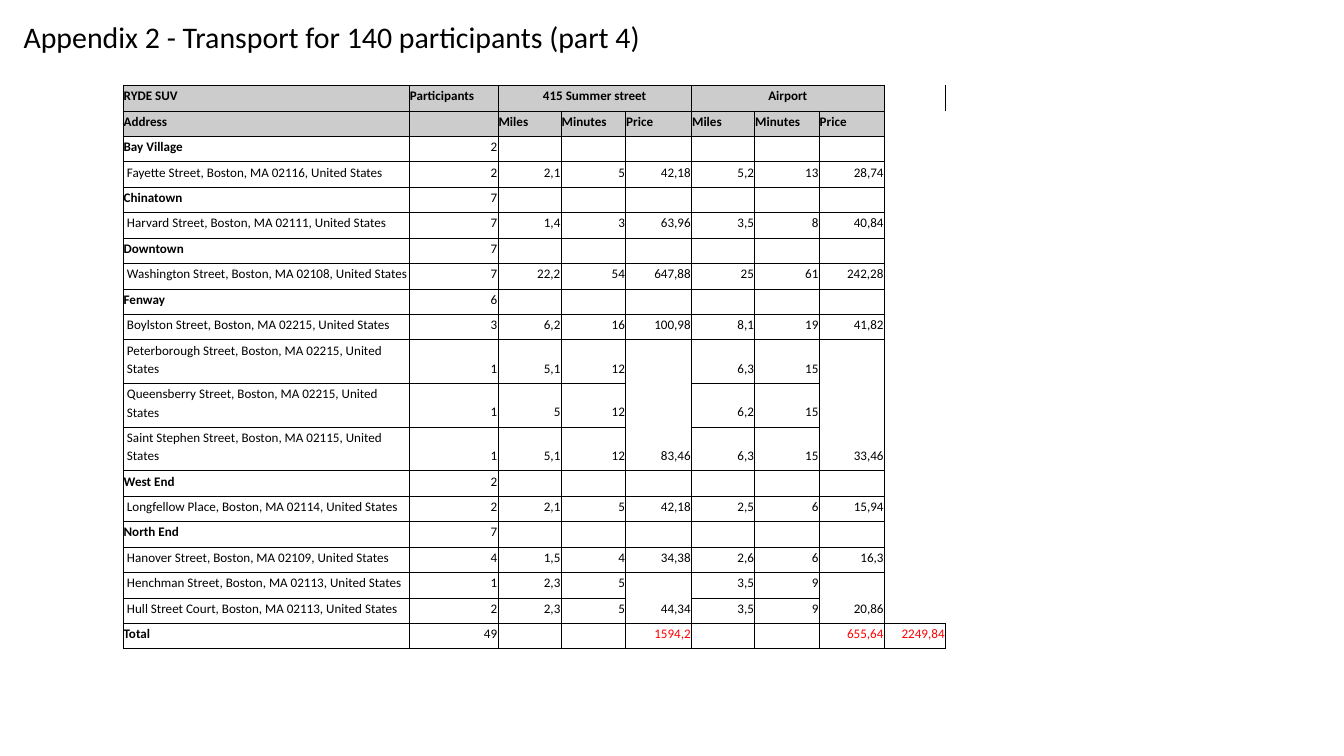
import pptx
import pptx.dml.color
import pptx.enum.text
import pptx.oxml
import pptx.oxml.ns
import pptx.util

Inches = pptx.util.Inches
Pt = pptx.util.Pt
RGBColor = pptx.dml.color.RGBColor
ALIGN = pptx.enum.text.PP_ALIGN
ANCHOR = pptx.enum.text.MSO_ANCHOR
FIT = pptx.enum.text.MSO_AUTO_SIZE
qn = pptx.oxml.ns.qn

BLACK = RGBColor(0x00, 0x00, 0x00)
GREY = RGBColor(0xCC, 0xCC, 0xCC)
RED = RGBColor(0xFF, 0x00, 0x00)

PLAIN_STYLE = "{2D5ABB26-0587-4C30-8999-92F81FD0307C}"  # no style, no grid
WIDTHS = [4.26, 1.32, 0.94, 0.96, 0.98, 0.94, 0.96, 0.97, 0.91]
ROW, TALL = 0.37, 0.65

HEADS = [
    ["RYDE SUV", "Participants", "415 Summer street", "", "", "Airport"],
    ["Address", ""] + ["Miles", "Minutes", "Price"] * 2,
]
# District, participants, then the streets: name, postcode, participants,
# and miles, minutes, price for each of the two destinations
AREAS = [
    ("Bay Village", "2", [
        ("Fayette Street", "02116", "2", "2,1", "5", "42,18", "5,2", "13", "28,74")]),
    ("Chinatown", "7", [
        ("Harvard Street", "02111", "7", "1,4", "3", "63,96", "3,5", "8", "40,84")]),
    ("Downtown", "7", [
        ("Washington Street", "02108", "7", "22,2", "54", "647,88", "25", "61", "242,28")]),
    ("Fenway", "6", [
        ("Boylston Street", "02215", "3", "6,2", "16", "100,98", "8,1", "19", "41,82"),
        ("Peterborough Street", "02215", "1", "5,1", "12", "83,46", "6,3", "15", "33,46"),
        ("Queensberry Street", "02215", "1", "5", "12", "", "6,2", "15", ""),
        ("Saint Stephen Street", "02115", "1", "5,1", "12", "", "6,3", "15", "")]),
    ("West End", "2", [
        ("Longfellow Place", "02114", "2", "2,1", "5", "42,18", "2,5", "6", "15,94")]),
    ("North End", "7", [
        ("Hanover Street", "02109", "4", "1,5", "4", "34,38", "2,6", "6", "16,3"),
        ("Henchman Street", "02113", "1", "2,3", "5", "44,34", "3,5", "9", "20,86"),
        ("Hull Street Court", "02113", "2", "2,3", "5", "", "3,5", "9", "")]),
]
TOTAL = ["Total", "49", "", "", "1594,2", "", "", "655,64", "2249,84"]
# First row, first column, last row, last column
MERGES = [(0, 2, 0, 4), (0, 5, 0, 7)]
MERGES += [(top, col, end, col) for top, end in ((10, 12), (17, 18)) for col in (4, 7)]


def put(item, values):
    for name, value in values.items():
        setattr(item, name, value)


def list_rows():
    """Return (kind, texts) for every table row."""
    rows = [("head", texts) for texts in HEADS]
    for area, count, streets in AREAS:
        rows.append(("area", [area, count]))
        for street, code, *values in streets:
            place = f"{street}, Boston, MA {code}, United States"
            rows.append(("street", [place] + values))
    return rows + [("total", TOTAL)]


class Deck:
    """Holds the text style and the current slide."""

    font = {"name": "Calibri", "size": Pt(14), "bold": False}
    inset = {
        "margin_left": Inches(0.01), "margin_top": Inches(0.01),
        "margin_right": Inches(0.01), "margin_bottom": Inches(0.1),
        "vertical_anchor": ANCHOR.BOTTOM,
    }

    def __init__(self):
        self.file = pptx.Presentation()
        put(self.file, {"slide_width": Inches(20), "slide_height": Inches(11.25)})
        self.slide = self.file.slides.add_slide(self.file.slide_layouts[5])

    def style(self, font, color, **extra):
        put(font, {**self.font, **extra})
        font.color.rgb = color

    def title(self, text):
        box = self.slide.shapes.title
        put(box, {"left": Inches(0.25), "top": Inches(0.18),
                  "width": Inches(17.75), "height": Inches(0.74)})
        frame = box.text_frame
        frame.text = text
        put(frame, {"word_wrap": True, "auto_size": FIT.SHAPE_TO_FIT_TEXT,
                    "vertical_anchor": ANCHOR.TOP})
        put(frame, {f"margin_{side}": Inches(0.1)
                    for side in ("left", "top", "right", "bottom")})
        line = frame.paragraphs[0]
        line.alignment = ALIGN.LEFT
        self.style(line.runs[0].font, BLACK, size=Pt(32))

    def border(self, cell, sides):
        props = cell._tc.get_or_add_tcPr()
        for spot, side in enumerate(sides):
            props.insert(spot, pptx.oxml.parse_xml(
                f'<a:ln{side} {pptx.oxml.ns.nsdecls("a")} w="6350">'
                f'<a:solidFill><a:srgbClr val="{BLACK}"/></a:solidFill></a:ln{side}>'))

    def cell(self, cell, text, color, bold, align):
        put(cell, self.inset)
        line = cell.text_frame.paragraphs[0]
        put(line, {"alignment": align, "line_spacing": 1.15})
        if text:
            run = line.add_run()
            run.text = text
            self.style(run.font, color, bold=bold)
        else:  # keeps an empty cell from growing its row
            line._p.get_or_add_endParaRPr().set("sz", "1400")

    def table(self, rows, left, top):
        high = [TALL if 10 <= n <= 12 else ROW for n in range(len(rows))]
        frame = self.slide.shapes.add_table(
            len(rows), len(WIDTHS), Inches(left), Inches(top),
            Inches(sum(WIDTHS)), Inches(sum(high)))
        grid = frame.table
        put(grid, {"first_row": False, "horz_banding": False})
        grid._tbl.tblPr.find(qn("a:tableStyleId")).text = PLAIN_STYLE
        for col, width in zip(grid.columns, WIDTHS):
            col.width = Inches(width)
        for row, height in zip(grid.rows, high):
            row.height = Inches(height)
        for r1, c1, r2, c2 in MERGES:
            grid.cell(r1, c1).merge(grid.cell(r2, c2))

        last = len(WIDTHS) - 1
        edge = {0: "LR", len(rows) - 2: "LB", len(rows) - 1: "LRTB"}
        for r, (kind, texts) in enumerate(rows):
            texts = texts + [""] * (len(WIDTHS) - len(texts))
            for c, text in enumerate(texts):
                cell = grid.cell(r, c)
                head = kind == "head"
                align = ALIGN.LEFT if head or c == 0 else ALIGN.RIGHT
                if r == 0 and c in (2, 5):
                    align = ALIGN.CENTER
                color = RED if kind == "total" and c > 1 else BLACK
                self.cell(cell, text, color, head or (c == 0 and kind != "street"), align)
                if kind == "street" and c == 0:
                    cell.margin_left = Inches(0.06)
                if head and c < last:
                    cell.fill.solid()
                    cell.fill.fore_color.rgb = GREY
                else:
                    cell.fill.background()
                self.border(cell, edge.get(r, "L") if c == last else "LRTB")


def main():
    deck = Deck()
    deck.title("Appendix 2 - Transport for 140 participants (part 4)")
    deck.table(list_rows(), 1.83, 1.27)
    deck.file.save("out.pptx")


if __name__ == "__main__":
    main()
